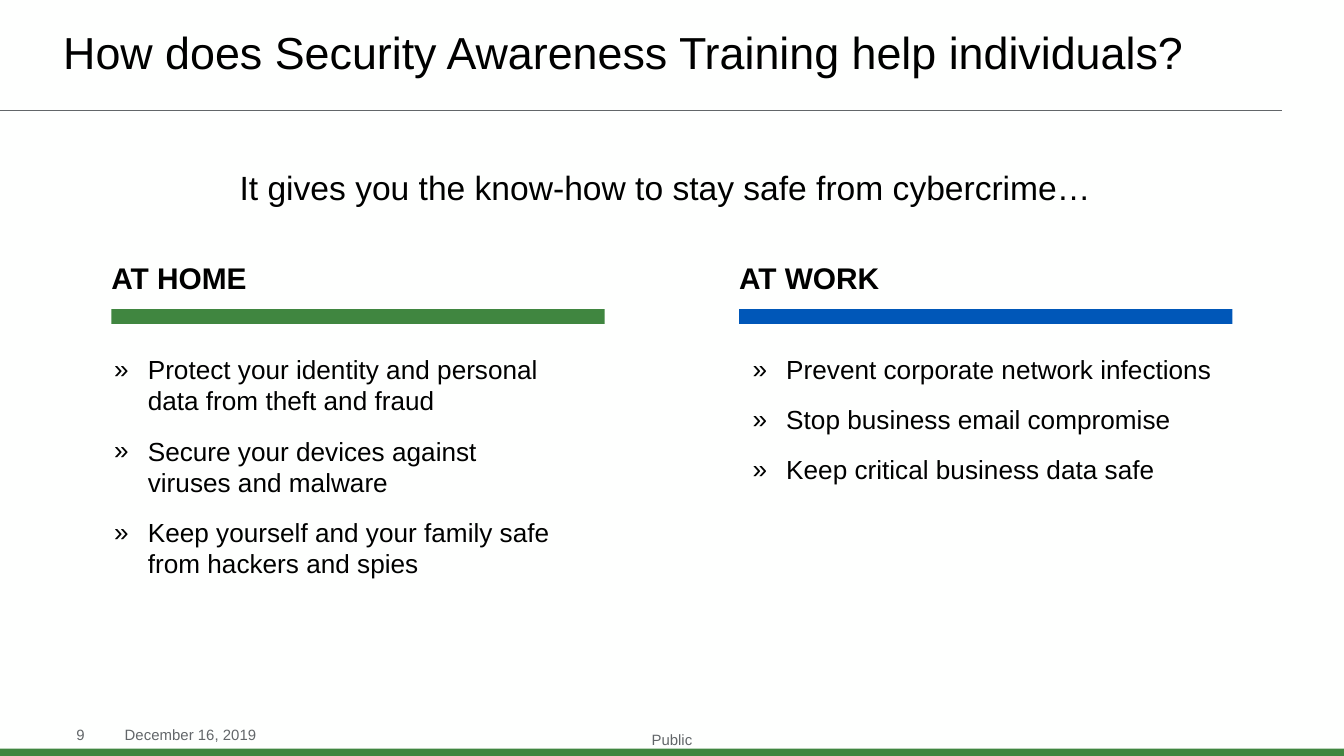
from lxml import etree
from pptx import Presentation
from pptx.dml.color import RGBColor
from pptx.enum.shapes import MSO_CONNECTOR, MSO_SHAPE
from pptx.enum.text import MSO_ANCHOR, MSO_AUTO_SIZE, PP_ALIGN
from pptx.oxml.ns import qn
from pptx.util import Inches, Pt

LEFT, CENTER = PP_ALIGN.LEFT, PP_ALIGN.CENTER
TOP, MIDDLE = MSO_ANCHOR.TOP, MSO_ANCHOR.MIDDLE

FONT = "Arial"
COLORS = {
    "background": "FEFFFE",
    "text": "000000",
    "muted": "626669",
    "green": "408640",
    "blue": "0057B8",
}

TITLE = "How does Security Awareness Training help individuals?"
LEAD = "It gives you the know-how to stay safe from cybercrime…"
COLUMNS = [
    {
        "heading": "AT HOME", "color": "green", "left": 0.83, "list_left": 0.75,
        "items": [
            "Protect your identity and personal data from theft and fraud",
            "Secure your devices against \vviruses and malware",
            "Keep yourself and your family safe from hackers and spies",
        ],
    },
    {
        "heading": "AT WORK", "color": "blue", "left": 5.5, "list_left": 5.5,
        "items": [
            "Prevent corporate network infections",
            "Stop business email compromise",
            "Keep critical business data safe",
        ],
    },
]
# text, left, width, alignment, anchor
FOOTERS = [
    ("9", 0.47, 0.36, LEFT, TOP),
    ("December 16, 2019", 0.83, 2.2, LEFT, TOP),
    ("Public", 3.31, 3.38, CENTER, MIDDLE),
]
COLUMN_WIDTH = 3.67
SLIDE_WIDTH = 10
SLIDE_HEIGHT = SLIDE_WIDTH * 9 / 16


def rgb(name):
    return RGBColor.from_string(COLORS[name])


def place(shape, left, top, width, height):
    shape.left, shape.top = Inches(left), Inches(top)
    shape.width, shape.height = Inches(width), Inches(height)


def write(shape, text, size, color="text", bold=False, align=LEFT,
          anchor=TOP, inset=0.1):
    """Fill a shape with text in one style; inset is the left margin."""
    frame = shape.text_frame
    frame.text = text
    frame.word_wrap = True
    frame.auto_size = MSO_AUTO_SIZE.NONE
    frame.vertical_anchor = anchor
    frame.margin_left, frame.margin_right = Inches(inset), Inches(0.1)
    frame.margin_top = frame.margin_bottom = Inches(0.05)
    for paragraph in frame.paragraphs:
        paragraph.alignment = align
        for run in paragraph.runs:
            run.font.name = FONT
            run.font.size = Pt(size)
            run.font.bold = bold
            run.font.color.rgb = rgb(color)


def add_text(slide, box, *args, **style):
    shape = slide.shapes.add_textbox(*map(Inches, box))
    write(shape, *args, **style)


def add_bar(slide, box, color):
    bar = slide.shapes.add_shape(MSO_SHAPE.RECTANGLE, *map(Inches, box))
    bar.shadow.inherit = False
    bar.fill.solid()
    bar.fill.fore_color.rgb = rgb(color)
    bar.line.fill.background()


def add_rule(slide, left, right, top):
    rule = slide.shapes.add_connector(
        MSO_CONNECTOR.STRAIGHT, *map(Inches, (left, top, right, top)))
    rule.line.color.rgb = rgb("muted")
    rule.line.width = Pt(0.5)
    etree.SubElement(rule._element.spPr, qn("a:effectLst"))


def format_bullets(placeholder):
    for paragraph in placeholder.text_frame.paragraphs:
        paragraph.space_before = Pt(0)
        paragraph.space_after = Pt(10)
        paragraph.line_spacing = 1.0
        properties = paragraph._p.get_or_add_pPr()
        properties.set("marL", str(Inches(0.25)))
        properties.set("indent", str(-Inches(0.25)))
        etree.SubElement(properties, qn("a:buFont"), typeface=FONT)
        etree.SubElement(properties, qn("a:buChar"), char="»")


def main():
    presentation = Presentation()
    presentation.slide_width = Inches(SLIDE_WIDTH)
    presentation.slide_height = Inches(SLIDE_HEIGHT)
    two_content = presentation.slide_layouts[3]
    slide = presentation.slides.add_slide(two_content)
    slide.background.fill.solid()
    slide.background.fill.fore_color.rgb = rgb("background")

    add_bar(slide, (0, 5.57, SLIDE_WIDTH, 0.06), "green")
    add_rule(slide, 0, 9.54, 0.82)

    title, *lists = slide.placeholders
    place(title, 0.47, 0, 9.07, 0.82)
    write(title, TITLE, 24, anchor=MIDDLE, inset=0)
    title.text_frame.paragraphs[0].line_spacing = 0.9

    for text, left, width, align, anchor in FOOTERS:
        add_text(slide, (left, 5.35, width, 0.3), text, 8, "muted",
                 align=align, anchor=anchor)
    add_text(slide, (0, 1.19, SLIDE_WIDTH, 0.4), LEAD, 18, align=CENTER, inset=0)

    for column, body in zip(COLUMNS, lists):
        left = column["left"]
        add_text(slide, (left, 1.88, COLUMN_WIDTH, 0.37), column["heading"], 16,
                 bold=True, inset=0)
        add_bar(slide, (left, 2.3, COLUMN_WIDTH, 0.11), column["color"])
        place(body, column["list_left"], 2.58, COLUMN_WIDTH, 1.96)
        write(body, "\n".join(column["items"]), 14)
        format_bullets(body)

    presentation.save("out.pptx")


if __name__ == "__main__":
    main()
